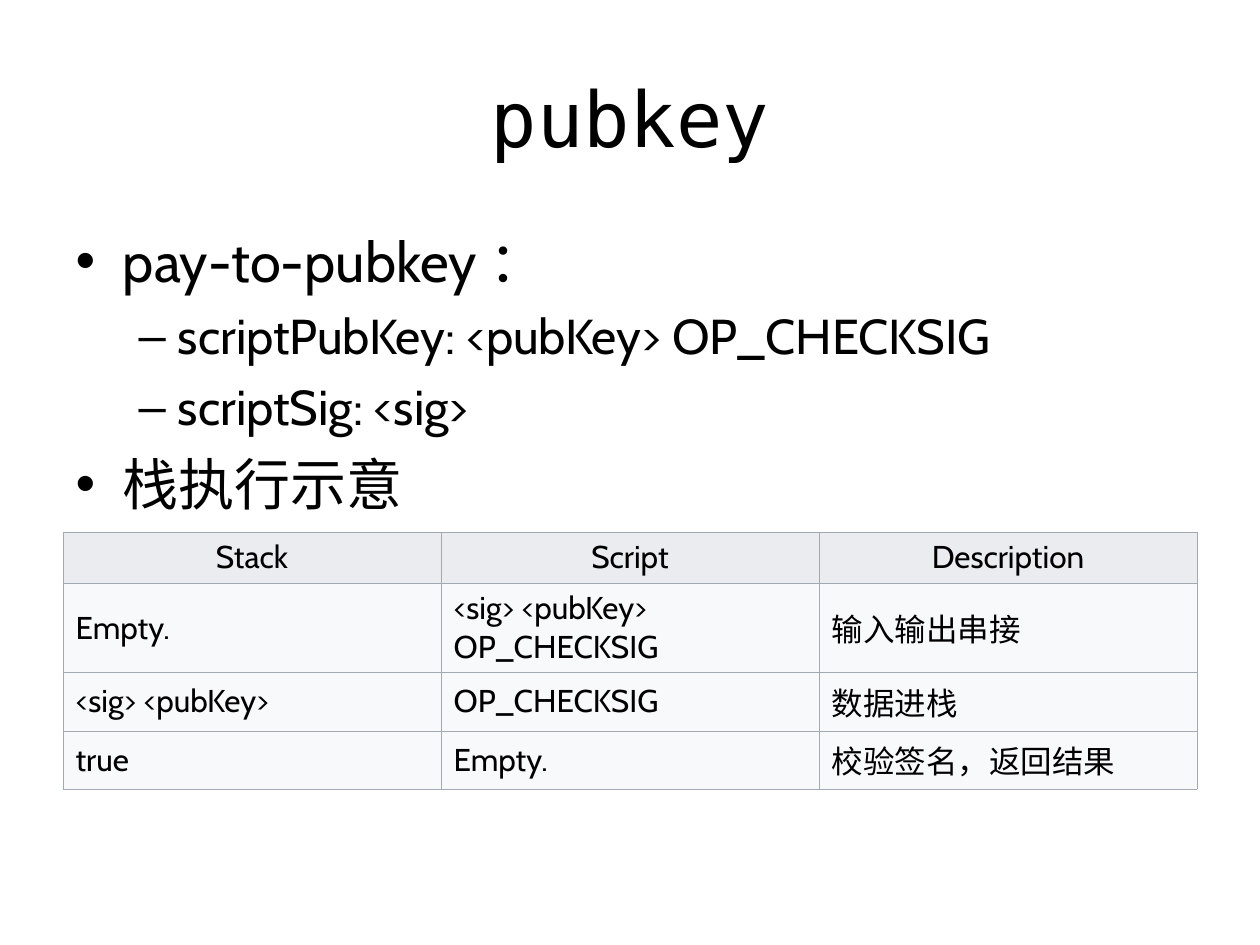
from lxml.etree import SubElement
from pptx import Presentation
from pptx.dml.color import RGBColor
from pptx.enum.text import MSO_ANCHOR, PP_ALIGN
from pptx.oxml.ns import qn
from pptx.util import Emu, Pt

PX_PER_INCH = 126
TEXT_FONT = "Cabin"
TITLE_FONT = "DejaVu Sans Mono"

BLACK = RGBColor(0x00, 0x00, 0x00)
WHITE = RGBColor(0xFF, 0xFF, 0xFF)
HEADER_FILL = RGBColor(0xEA, 0xEC, 0xF0)
BODY_FILL = RGBColor(0xF8, 0xF9, 0xFA)
BORDER = RGBColor(0xA2, 0xA9, 0xB1)

# Level and text of each list item
ITEMS = [
    (0, "pay-to-pubkey ："),
    (1, "scriptPubKey: <pubKey> OP_CHECKSIG"),
    (1, "scriptSig: <sig>"),
    (0, "栈执行示意"),
]
LEVEL_SIZES = [32, 28]
LEVEL_SPACES = [8, 7]

STACK_ROWS = [
    ["Stack", "Script", "Description"],
    ["Empty.", "<sig> <pubKey> OP_CHECKSIG", "输入输出串接"],
    ["<sig> <pubKey>", "OP_CHECKSIG", "数据进栈"],
    ["true", "Empty.", "校验签名，返回结果"],
]
ROW_HEIGHTS = [50, 88, 50, 50]


def px(length):
    return Emu(round(length * 914400 / PX_PER_INCH))


def place(shape, left, top, width, height):
    shape.left, shape.top = px(left), px(top)
    shape.width, shape.height = px(width), px(height)


def add_run(para, text, size, font=TEXT_FONT):
    span = para.add_run()
    span.text = text
    span.font.size = Pt(size)
    span.font.name = font
    span.font.color.rgb = BLACK


def set_title(slide, text):
    title = slide.shapes.title
    place(title, 63, 38, 1134, 157)
    title.text_frame.vertical_anchor = MSO_ANCHOR.MIDDLE
    para = title.text_frame.paragraphs[0]
    para.alignment = PP_ALIGN.CENTER
    add_run(para, text, 44, TITLE_FONT)


def set_list(slide, items):
    body = slide.placeholders[1]
    place(body, 63, 220, 1134, 624)
    frame = body.text_frame
    for index, (level, text) in enumerate(items):
        para = frame.add_paragraph() if index else frame.paragraphs[0]
        para.level = level
        para.space_before = Pt(LEVEL_SPACES[level] if index else 0)
        add_run(para, text, LEVEL_SIZES[level])


def set_borders(cell):
    properties = cell._tc.get_or_add_tcPr()
    for position, side in enumerate(("lnL", "lnR", "lnT", "lnB")):
        line = SubElement(properties, qn(f"a:{side}"), w=str(Pt(0.17)))
        fill = SubElement(line, qn("a:solidFill"))
        SubElement(fill, qn("a:srgbClr"), val=str(BORDER))
        properties.insert(position, line)


def fill_cell(cell, text, is_header):
    cell.fill.solid()
    cell.fill.fore_color.rgb = HEADER_FILL if is_header else BODY_FILL
    cell.vertical_anchor = MSO_ANCHOR.MIDDLE
    set_borders(cell)
    para = cell.text_frame.paragraphs[0]
    para.alignment = PP_ALIGN.CENTER if is_header else PP_ALIGN.LEFT
    add_run(para, text, 18)


def add_stack_table(slide, rows):
    frame = slide.shapes.add_table(
        len(rows), len(rows[0]), px(63), px(532), px(1134), px(sum(ROW_HEIGHTS))
    )
    table = frame.table
    table.first_row = table.horz_banding = False
    for row_index, texts in enumerate(rows):
        table.rows[row_index].height = px(ROW_HEIGHTS[row_index])
        for column_index, text in enumerate(texts):
            fill_cell(table.cell(row_index, column_index), text, row_index == 0)


def main():
    deck = Presentation()
    deck.slide_width, deck.slide_height = px(1260), px(945)
    page = deck.slides.add_slide(deck.slide_layouts[1])
    page.background.fill.solid()
    page.background.fill.fore_color.rgb = WHITE

    # Heading and list
    set_title(page, "pubkey")
    set_list(page, ITEMS)

    # Stack execution steps
    add_stack_table(page, STACK_ROWS)
    deck.save("out.pptx")


if __name__ == "__main__":
    main()
